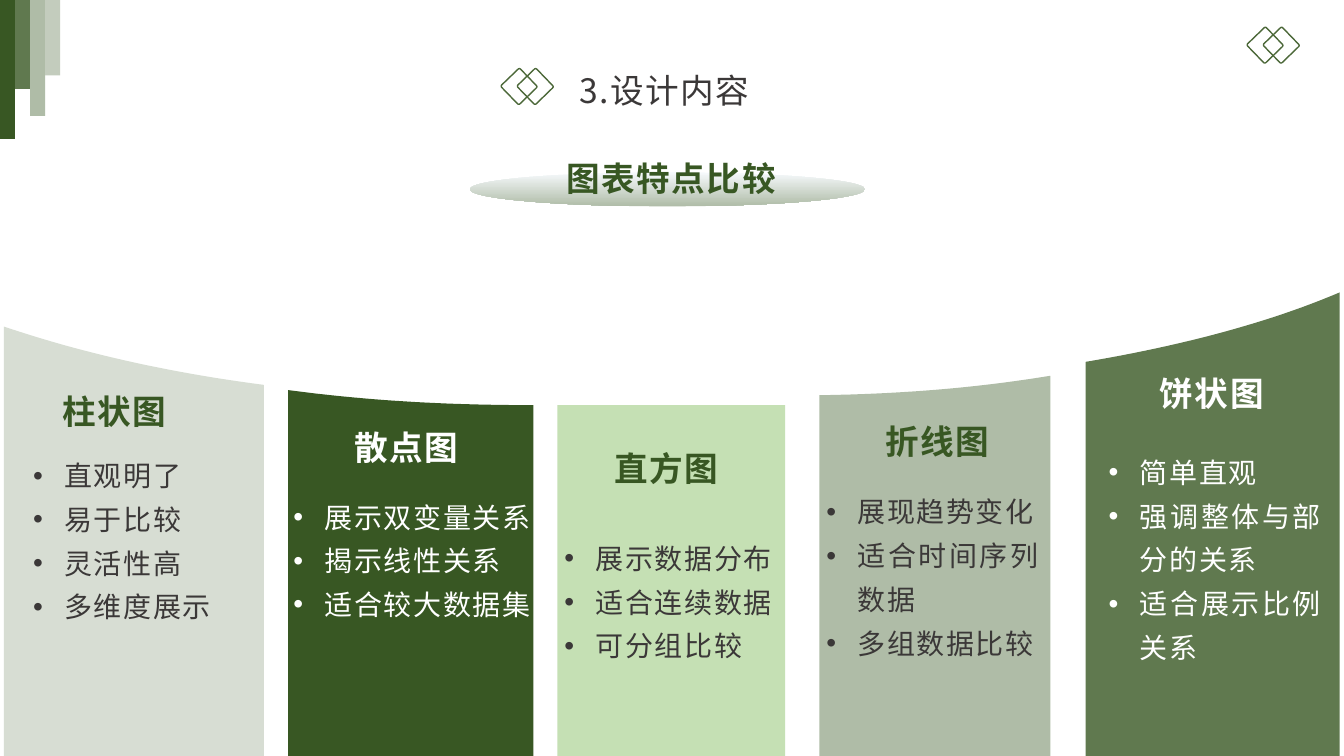
from lxml import etree
from pptx import Presentation
from pptx.dml.color import RGBColor
from pptx.enum.shapes import MSO_SHAPE
from pptx.enum.text import MSO_ANCHOR, MSO_AUTO_SIZE, PP_ALIGN
from pptx.oxml.ns import qn
from pptx.util import Cm, Pt

RECT, OVAL, DIAMOND = MSO_SHAPE.RECTANGLE, MSO_SHAPE.OVAL, MSO_SHAPE.ROUNDED_RECTANGLE
LEFT, CENTER, JUSTIFY = PP_ALIGN.LEFT, PP_ALIGN.CENTER, PP_ALIGN.JUSTIFY
TOP, NO_FIT = MSO_ANCHOR.TOP, MSO_AUTO_SIZE.NONE

FONT = "Noto Sans CJK SC"
GREEN, MOSS, SAGE, GRAY, WHITE = "385723", "60794F", "AFBCA7", "3B3838", "FFFFFF"

# Content; all lengths in cm
TITLE = "3.设计内容"
SUBTITLE = "图表特点比较"
SLIDE_W, SLIDE_H = 33.87, 19.05

# top: four control points of the panel's curved upper edge
PANELS = [
    {"name": "柱状图", "points": ["直观明了", "易于比较", "灵活性高", "多维度展示"],
     "fill": "D7DDD3", "head_color": GREEN, "list_color": GRAY,
     "top": [(0.1, 8.23), (1.96, 8.86), (4.11, 9.37), (6.65, 9.7)],
     "head": (-1.5, 9.42), "list": (0.58, 11.18, 5.89, 6.15)},
    {"name": "散点图", "points": ["展示双变量关系", "揭示线性关系", "适合较大数据集"],
     "fill": GREEN, "head_color": WHITE, "list_color": WHITE,
     "top": [(7.26, 9.83), (9.12, 10.08), (11.1, 10.21), (13.44, 10.21)],
     "head": (5.87, 10.34), "list": (7.14, 12.22, 6.55, 4.7)},
    {"name": "直方图", "points": ["展示数据分布", "适合连续数据", "可分组比较"],
     "fill": "C5E0B4", "head_color": GREEN, "list_color": GRAY,
     "top": [(14.05, 10.21), (19.79, 10.21)],
     "head": (12.42, 10.87), "list": (13.97, 13.26, 5.89, 4.06)},
    {"name": "折线图", "points": ["展现趋势变化", "适合时间序列数据", "多组数据比较"],
     "fill": SAGE, "head_color": GREEN, "list_color": GRAY,
     "top": [(20.65, 9.96), (22.68, 9.93), (24.59, 9.78), (26.47, 9.47)],
     "head": (19.25, 10.19), "list": (20.57, 12.09, 5.89, 4.7)},
    {"name": "饼状图", "points": ["简单直观", "强调整体与部分的关系", "适合展示比例关系"],
     "fill": MOSS, "head_color": WHITE, "list_color": WHITE,
     "top": [(27.36, 9.12), (29.79, 8.71), (31.98, 8.13), (33.76, 7.37)],
     "head": (26.16, 8.97), "list": (27.69, 11.1, 5.89, 5.82)},
]
HEAD_SIZE = (8.76, 1.57)
STRIPES = [(GREEN, 3.5), (MOSS, 2.24), (SAGE, 2.92), ("C3CCBD", 1.9)]
STRIPE_W = 0.38
DIAMOND_PAIRS = [(12.75, 1.85), (31.55, 0.81)]
DIAMOND_SIZE, DIAMOND_STEP = 0.66, 0.41
CURVE_STEPS = 24


def rgb(value):
    return RGBColor.from_string(value)


def place(shape, left, top, width, height):
    shape.left, shape.top = Cm(left), Cm(top)
    shape.width, shape.height = Cm(width), Cm(height)


def add_block(kind, left, top, width, height, color=None):
    shape = page.shapes.add_shape(kind, Cm(left), Cm(top), Cm(width), Cm(height))
    return paint(shape, color)


def paint(shape, color):
    shape.shadow.inherit = False
    if color:
        shape.fill.solid()
        shape.fill.fore_color.rgb = rgb(color)
        shape.line.fill.background()
    return shape


def add_box():
    return page.shapes.add_textbox(0, 0, 0, 0)


def write(box, lines, spot, size, color, align, spacing=1.3, bold=False, bullets=False):
    place(box, *spot)
    frame = box.text_frame
    frame.word_wrap, frame.auto_size, frame.vertical_anchor = True, NO_FIT, TOP
    frame.text = "\n".join(lines)
    for para in frame.paragraphs:
        if bullets:
            props = para._p.get_or_add_pPr()
            props.set("marL", str(Cm(0.79)))
            props.set("indent", str(-Cm(0.79)))
            etree.SubElement(props, qn("a:buFont")).set("typeface", "Arial")
            etree.SubElement(props, qn("a:buChar")).set("char", "•")
        para.alignment, para.line_spacing = align, spacing
        para.space_before = para.space_after = Pt(0)
        font = para.font
        font.name, font.size, font.bold = FONT, Pt(size), bold
        font.color.rgb = rgb(color)
    # Letter spacing and East Asian typeface
    for props in box.element.iter(qn("a:defRPr")):
        props.set("spc", "110")
        east = etree.Element(qn("a:ea"))
        east.set("typeface", FONT)
        props.find(qn("a:latin")).addnext(east)


def curve_point(controls, t):
    weights = ((1 - t) ** 3, 3 * t * (1 - t) ** 2, 3 * t ** 2 * (1 - t), t ** 3)
    return tuple(Cm(sum(w * point[axis] for w, point in zip(weights, controls)))
                 for axis in (0, 1))


def add_panel(controls, color):
    (left, top), (right, _) = controls[0], controls[-1]
    if len(controls) == 2:
        add_block(RECT, left, top, right - left, SLIDE_H - top, color)
        return
    edge = [curve_point(controls, i / CURVE_STEPS) for i in range(CURVE_STEPS + 1)]
    corners = [(Cm(right), Cm(SLIDE_H)), (Cm(left), Cm(SLIDE_H))]
    builder = page.shapes.build_freeform(*edge[0])
    builder.add_line_segments(edge[1:] + corners, close=True)
    paint(builder.convert_to_shape(), color)


deck = Presentation()
deck.slide_width, deck.slide_height = Cm(SLIDE_W), Cm(SLIDE_H)
page = deck.slides.add_slide(deck.slide_layouts.get_by_name("Comparison"))
bodies = [holder for holder in page.placeholders if holder.placeholder_format.idx in range(1, 5)]

# Corner stripes
for i, (color, height) in enumerate(STRIPES):
    add_block(RECT, i * STRIPE_W, 0, STRIPE_W, height, color)

# Linked diamonds
for left, top in DIAMOND_PAIRS:
    for i in range(2):
        diamond = add_block(DIAMOND, left + i * DIAMOND_STEP, top, DIAMOND_SIZE, DIAMOND_SIZE)
        diamond.rotation = 46
        diamond.adjustments[0] = 0.06
        diamond.fill.background()
        diamond.line.color.rgb = rgb("4C6839")
        diamond.line.width = Pt(1)

# Title, and subtitle on its shaded ellipse
write(page.shapes.title, [TITLE], (14.35, 1.42, 6.76, 1.47), 24, GRAY, LEFT, spacing=1.2)
ellipse = add_block(OVAL, 11.84, 4.34, 9.96, 0.86)
ellipse.fill.gradient()
ellipse.fill.gradient_angle = 270
for stop, color in zip(ellipse.fill.gradient_stops, ("F7FAFD", SAGE)):
    stop.color.rgb = rgb(color)
ellipse.line.fill.background()
write(add_box(), [SUBTITLE], (8.81, 3.56, 16.21, 1.57), 24, GREEN, CENTER, bold=True)

# Chart panels: shape, heading and list
for panel in PANELS:
    add_panel(panel["top"], panel["fill"])
    write(add_box(), [panel["name"]], panel["head"] + HEAD_SIZE, 24,
          panel["head_color"], CENTER, bold=True)
    body = bodies.pop(0) if bodies else add_box()
    body.element.getparent().append(body.element)  # bring in front of the panel
    write(body, panel["points"], panel["list"], 20, panel["list_color"], JUSTIFY, bullets=True)

deck.save("out.pptx")
